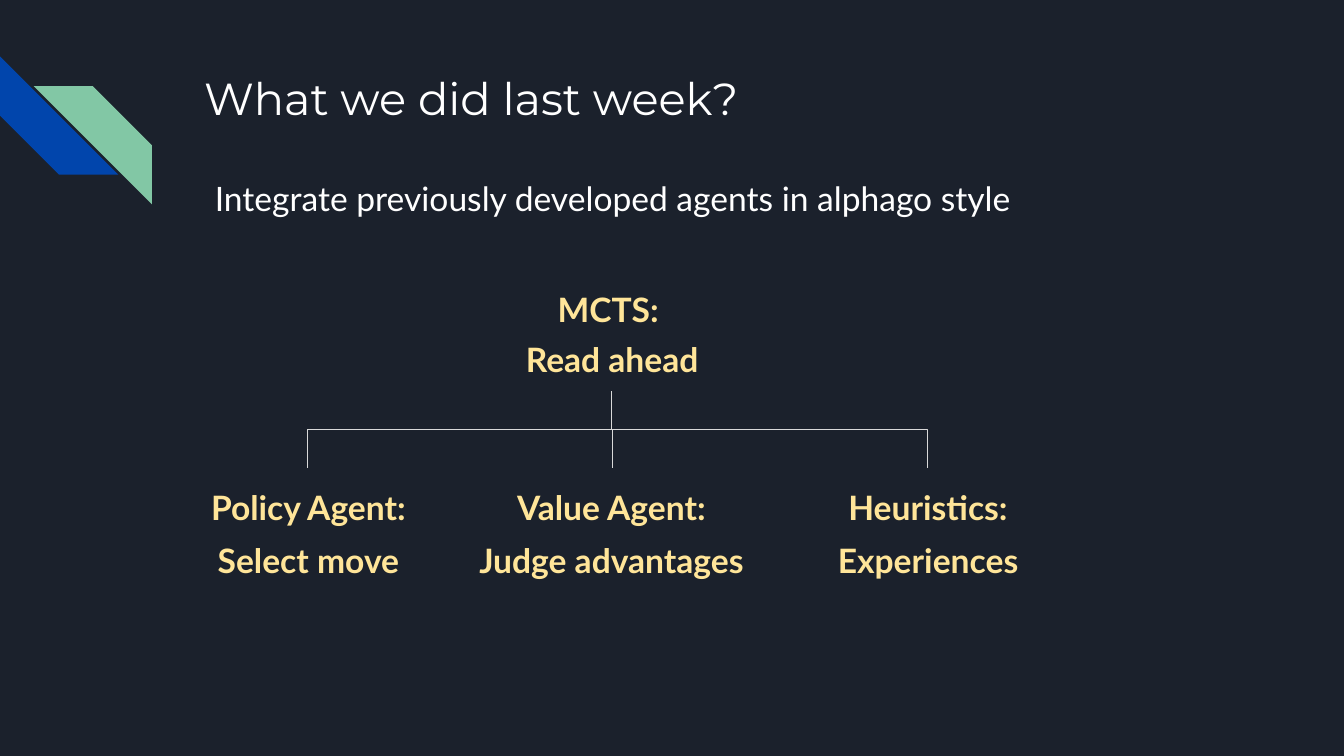
import pptx
import pptx.util
import pptx.dml.color
import pptx.enum.shapes
import pptx.enum.text
import pptx.oxml.ns
import lxml.etree

Inches = pptx.util.Inches
Pt = pptx.util.Pt
RGBColor = pptx.dml.color.RGBColor
SHAPES = pptx.enum.shapes.MSO_SHAPE
ALIGN = pptx.enum.text.PP_ALIGN
qn = pptx.oxml.ns.qn

NAVY = RGBColor(0x1B, 0x21, 0x2C)
BLUE = RGBColor(0x01, 0x45, 0xAC)
GREEN = RGBColor(0x82, 0xC7, 0xA5)
WHITE = RGBColor(0xFF, 0xFF, 0xFF)
YELLOW = RGBColor(0xFF, 0xE5, 0x99)
GREY = RGBColor(0xD9, 0xD9, 0xD9)

deck = pptx.Presentation()
deck.slide_width = Inches(10)
deck.slide_height = Inches(10 * 9 / 16)
slide = deck.slides.add_slide(deck.slide_layouts[6])
slide.background.fill.solid()
slide.background.fill.fore_color.rgb = NAVY


def add_text(box, lines, size, font, color, bold=False, align=ALIGN.LEFT):
    frame = slide.shapes.add_textbox(*map(Inches, box)).text_frame
    frame.word_wrap = True
    frame.margin_left = frame.margin_right = Inches(0.1)
    frame.margin_top = frame.margin_bottom = Inches(0.1)
    for index, (words, spacing, before, after) in enumerate(lines):
        paragraph = frame.add_paragraph() if index else frame.paragraphs[0]
        paragraph.alignment = align
        paragraph.line_spacing = spacing
        paragraph.space_before = Pt(before)
        paragraph.space_after = Pt(after)
        run = paragraph.add_run()
        run.text = words
        run.font.size = Pt(size)
        run.font.name = font
        run.font.bold = bold
        run.font.color.rgb = color


stripe_side = 0.88
for left, top, color, turn, flipped in [
    (0, 0.42, BLUE, 270, False),
    (0.25, 0.64, GREEN, 0, True),
]:
    stripe = slide.shapes.add_shape(
        SHAPES.DIAGONAL_STRIPE, Inches(left), Inches(top), Inches(stripe_side), Inches(stripe_side))
    stripe.adjustments[0] = 0.5
    stripe.rotation = turn
    stripe.shadow.inherit = False
    stripe.fill.solid()
    stripe.fill.fore_color.rgb = color
    stripe.line.fill.background()
    if flipped:
        stripe.element.spPr.find(qn("a:xfrm")).set("flipH", "1")

add_text((1.42, 0.43, 7.7, 1), [("What we did last week? ", 1, 0, 0)], 24, "Montserrat", WHITE)
add_text((1.5, 1.18, 7.31, 0.65),
         [("Integrate previously developed agents in alphago style", 1.15, 0, 16)], 18, "Lato", WHITE)

root_bottom, agent_top = 2.91, 3.48
for box, role, task, role_spacing in [
    ((1.12, agent_top, 2.35, 0.96), "Policy Agent:", "Select move", 1.15),
    ((3.21, 2.18, 2.69, 0.73), "MCTS: ", "Read ahead", 0.5),
    ((3.42, agent_top, 2.26, 1.15), "Value Agent:", "Judge advantages", 1.15),
    ((5.9, agent_top, 2.01, 1.37), "Heuristics:", "Experiences", 1.15),
]:
    add_text(box, [(role, role_spacing, 0, 0), (task, 0.5, 16, 16)],
             18, "Lato", YELLOW, True, ALIGN.CENTER)

root_center = 4.55
drop = agent_top - root_bottom
for agent_center in (2.29, 6.9, 4.56):
    span = abs(agent_center - root_center)
    left = (agent_center + root_center - drop) / 2
    top = (root_bottom + agent_top - span) / 2
    branch = slide.shapes.add_connector(
        pptx.enum.shapes.MSO_CONNECTOR.ELBOW,
        Inches(left), Inches(top), Inches(left + drop), Inches(top + span))
    branch.line.color.rgb = GREY
    branch.line.width = Pt(0.75)
    properties = branch.element.spPr
    frame = properties.find(qn("a:xfrm"))
    if agent_center < root_center:
        frame.set("rot", str(270 * 60000))
    else:
        frame.set("rot", str(90 * 60000))
        frame.set("flipH", "1")
    lxml.etree.SubElement(properties, qn("a:effectLst"))

deck.save("out.pptx")
